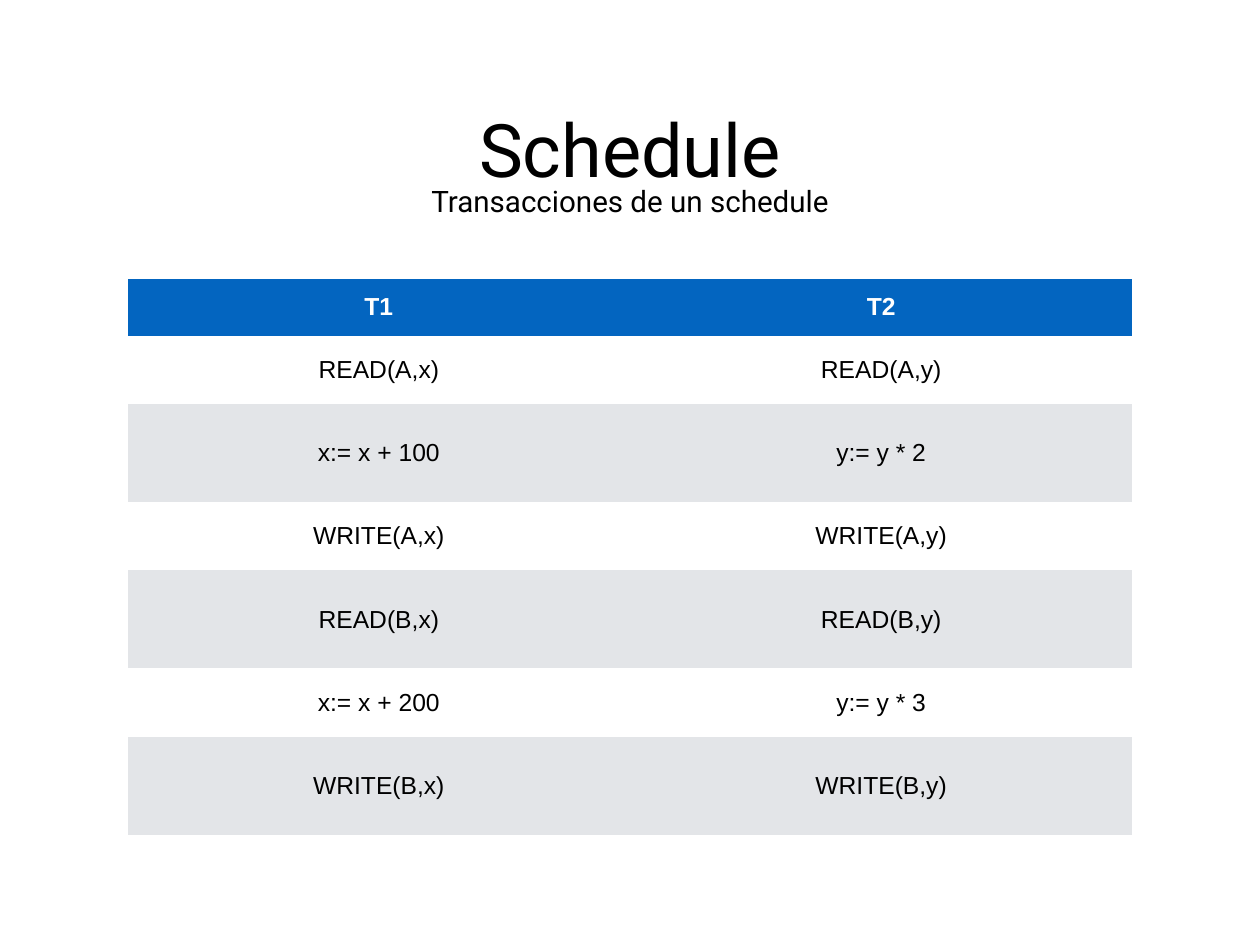
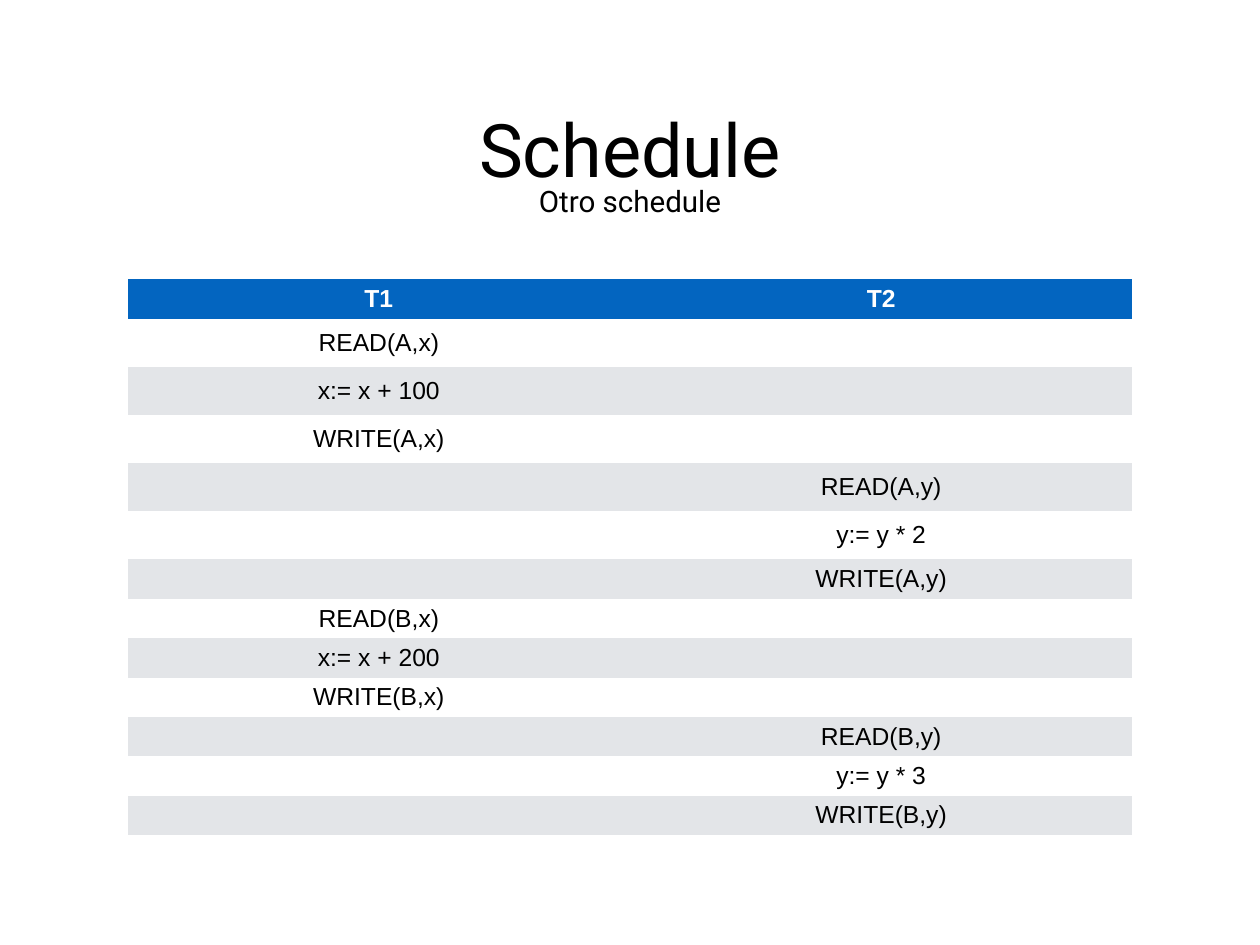
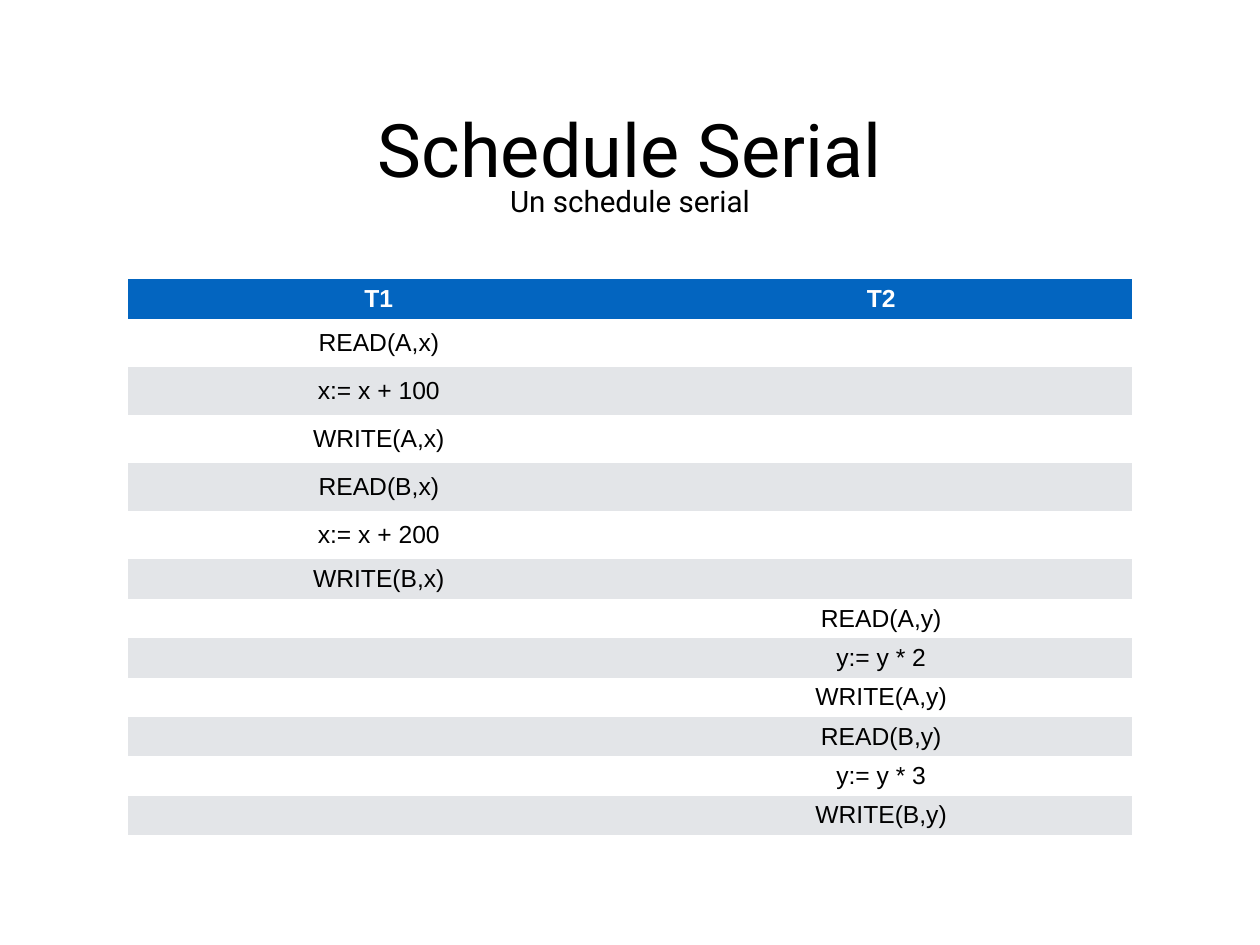
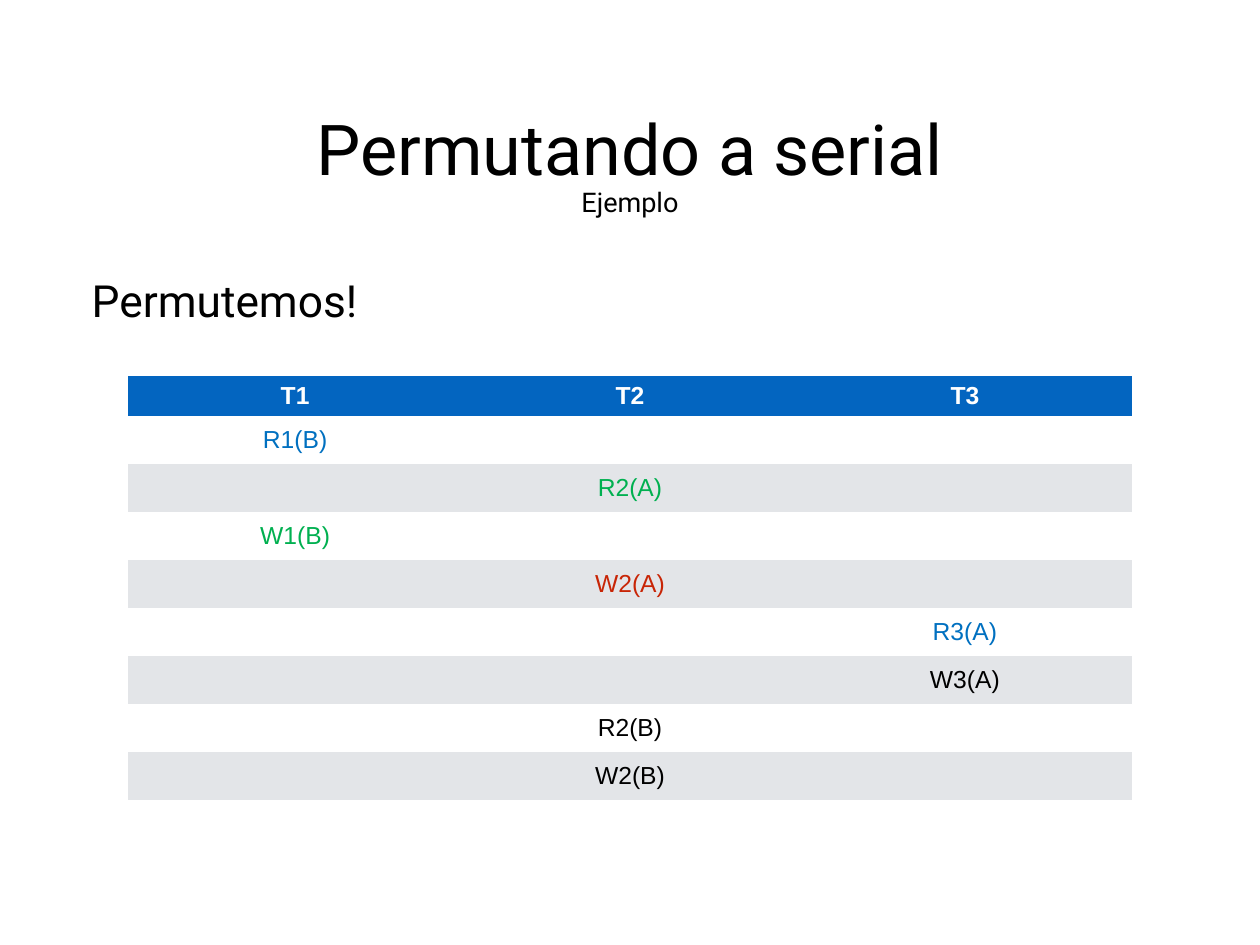
import pptx
import pptx.util
import pptx.dml.color
import pptx.enum.text

Cm = pptx.util.Cm
Pt = pptx.util.Pt
RGBColor = pptx.dml.color.RGBColor
PP_ALIGN = pptx.enum.text.PP_ALIGN

BLACK = RGBColor(0x00, 0x00, 0x00)
WHITE = RGBColor(0xFF, 0xFF, 0xFF)
HEADER_BLUE = RGBColor(0x03, 0x65, 0xC0)
BAND_GREY = RGBColor(0xE3, 0xE5, 0xE8)
BLUE = RGBColor(0x00, 0x70, 0xC0)
GREEN = RGBColor(0x00, 0xB0, 0x50)
RED = RGBColor(0xC8, 0x25, 0x06)

TITLE_FONT = "Roboto"
TABLE_FONT = "Arial"
TABLE_SIZE = 20
NO_TABLE_STYLE = "{2D5ABB26-0587-4C30-8999-92F81FD0307C}"

# All lengths are in centimetres.
SLIDE_WIDTH, SLIDE_HEIGHT = 36.12, 27.1
INSET = 0.14
TITLE_MIDDLE, SUBTITLE_MIDDLE = 4.23, 5.77
TABLE_LEFT, TABLE_WIDTH = 3.66, 28.8
HEADER_ROW, TALL_ROW, LOW_ROW = 1.15, 1.38, 1.13

T1_STEPS = ["READ(A,x)", "x:= x + 100", "WRITE(A,x)",
            "READ(B,x)", "x:= x + 200", "WRITE(B,x)"]
T2_STEPS = ["READ(A,y)", "y:= y * 2", "WRITE(A,y)",
            "READ(B,y)", "y:= y * 3", "WRITE(B,y)"]
T1_ROWS = [(step, "") for step in T1_STEPS]
T2_ROWS = [("", step) for step in T2_STEPS]
TWO_TRANSACTIONS = ("T1", "T2")
TWELVE_STEP_HEIGHTS = [HEADER_ROW] + [TALL_ROW] * 5 + [LOW_ROW] * 7

STEP_COLORS = {"R1(B)": BLUE, "R2(A)": GREEN, "W1(B)": GREEN,
               "W2(A)": RED, "R3(A)": BLUE}

# Titles and subtitles: text, size in points, box width, box height.
SLIDES = [
    {
        "title": ("Schedule", 60, 9.27, 2.77),
        "subtitle": ("Transacciones de un schedule", 24, 11.91, 1.27),
        "table_top": 8.0,
        "heights": [1.63] + [1.96, 2.81] * 3,
        "rows": [TWO_TRANSACTIONS, *zip(T1_STEPS, T2_STEPS)],
    },
    {
        "title": ("Schedule", 60, 9.27, 2.77),
        "subtitle": ("Otro schedule", 24, 5.66, 1.27),
        "table_top": 8.0,
        "heights": TWELVE_STEP_HEIGHTS,
        "rows": [TWO_TRANSACTIONS, *T1_ROWS[:3], *T2_ROWS[:3],
                 *T1_ROWS[3:], *T2_ROWS[3:]],
    },
    {
        "title": ("Schedule Serial", 60, 15.14, 2.77),
        "subtitle": ("Un schedule serial", 24, 7.37, 1.27),
        "table_top": 8.0,
        "heights": TWELVE_STEP_HEIGHTS,
        "rows": [TWO_TRANSACTIONS, *T1_ROWS, *T2_ROWS],
    },
    {
        "title": ("Permutando a serial", 57, 18.57, 2.62),
        "subtitle": ("Ejemplo", 22, 3.2, 1.22),
        "body": "Permutemos!",
        "table_top": 10.77,
        "heights": [HEADER_ROW] + [TALL_ROW] * 8,
        "rows": [
            ("T1", "T2", "T3"),
            ("R1(B)", "", ""),
            ("", "R2(A)", ""),
            ("W1(B)", "", ""),
            ("", "W2(A)", ""),
            ("", "", "R3(A)"),
            ("", "", "W3(A)"),
            ("", "R2(B)", ""),
            ("", "W2(B)", ""),
        ],
    },
]


def set_insets(target):
    """Give a text frame or a table cell the shared margins and anchor."""
    target.margin_left = target.margin_right = Cm(INSET)
    target.margin_top = target.margin_bottom = Cm(INSET)
    target.vertical_anchor = pptx.enum.text.MSO_ANCHOR.MIDDLE


def add_run(paragraph, text, font_name, size, color, alignment, bold=False):
    paragraph.alignment = alignment
    run = paragraph.add_run()
    run.text = text
    run.font.name = font_name
    run.font.size = Pt(size)
    run.font.bold = bold
    run.font.color.rgb = color


def add_text(slide, text, size, left, top, width, height, alignment, wrap):
    shape = slide.shapes.add_textbox(Cm(left), Cm(top), Cm(width), Cm(height))
    frame = shape.text_frame
    frame.word_wrap = wrap
    frame.auto_size = pptx.enum.text.MSO_AUTO_SIZE.SHAPE_TO_FIT_TEXT
    set_insets(frame)
    add_run(frame.paragraphs[0], text, TITLE_FONT, size, BLACK, alignment)


def add_centred_line(slide, middle, text, size, width, height):
    """Add one line of text centred on the slide, around the height middle."""
    add_text(slide, text, size, (SLIDE_WIDTH - width) / 2, middle - height / 2,
             width, height, PP_ALIGN.CENTER, wrap=False)


def add_schedule(slide, top, heights, rows):
    """Add the table of steps, one column for each transaction."""
    columns = len(rows[0])
    frame = slide.shapes.add_table(len(rows), columns, Cm(TABLE_LEFT), Cm(top),
                                   Cm(TABLE_WIDTH), Cm(sum(heights)))
    table = frame.table
    table.first_row = table.horz_banding = False
    properties = table._tbl.tblPr
    properties.find(pptx.oxml.ns.qn("a:tableStyleId")).text = NO_TABLE_STYLE
    for column in table.columns:
        column.width = Cm(TABLE_WIDTH / columns)
    for row_index, (height, steps) in enumerate(zip(heights, rows)):
        table.rows[row_index].height = Cm(height)
        is_header = row_index == 0
        band = WHITE if row_index % 2 else BAND_GREY
        for column_index, step in enumerate(steps):
            cell = table.cell(row_index, column_index)
            set_insets(cell)
            cell.fill.solid()
            cell.fill.fore_color.rgb = HEADER_BLUE if is_header else band
            if step:
                color = WHITE if is_header else STEP_COLORS.get(step, BLACK)
                add_run(cell.text_frame.paragraphs[0], step, TABLE_FONT,
                        TABLE_SIZE, color, PP_ALIGN.CENTER, bold=is_header)


def main():
    presentation = pptx.Presentation()
    presentation.slide_width = Cm(SLIDE_WIDTH)
    presentation.slide_height = Cm(SLIDE_HEIGHT)
    for content in SLIDES:
        slide = presentation.slides.add_slide(presentation.slide_layouts[6])
        add_centred_line(slide, TITLE_MIDDLE, *content["title"])
        add_schedule(slide, content["table_top"], content["heights"],
                     content["rows"])
        if "body" in content:
            add_text(slide, content["body"], 36, 2.49, 7.72, 31.14, 1.75,
                     PP_ALIGN.LEFT, wrap=True)
        add_centred_line(slide, SUBTITLE_MIDDLE, *content["subtitle"])
    presentation.save("out.pptx")


if __name__ == "__main__":
    main()
